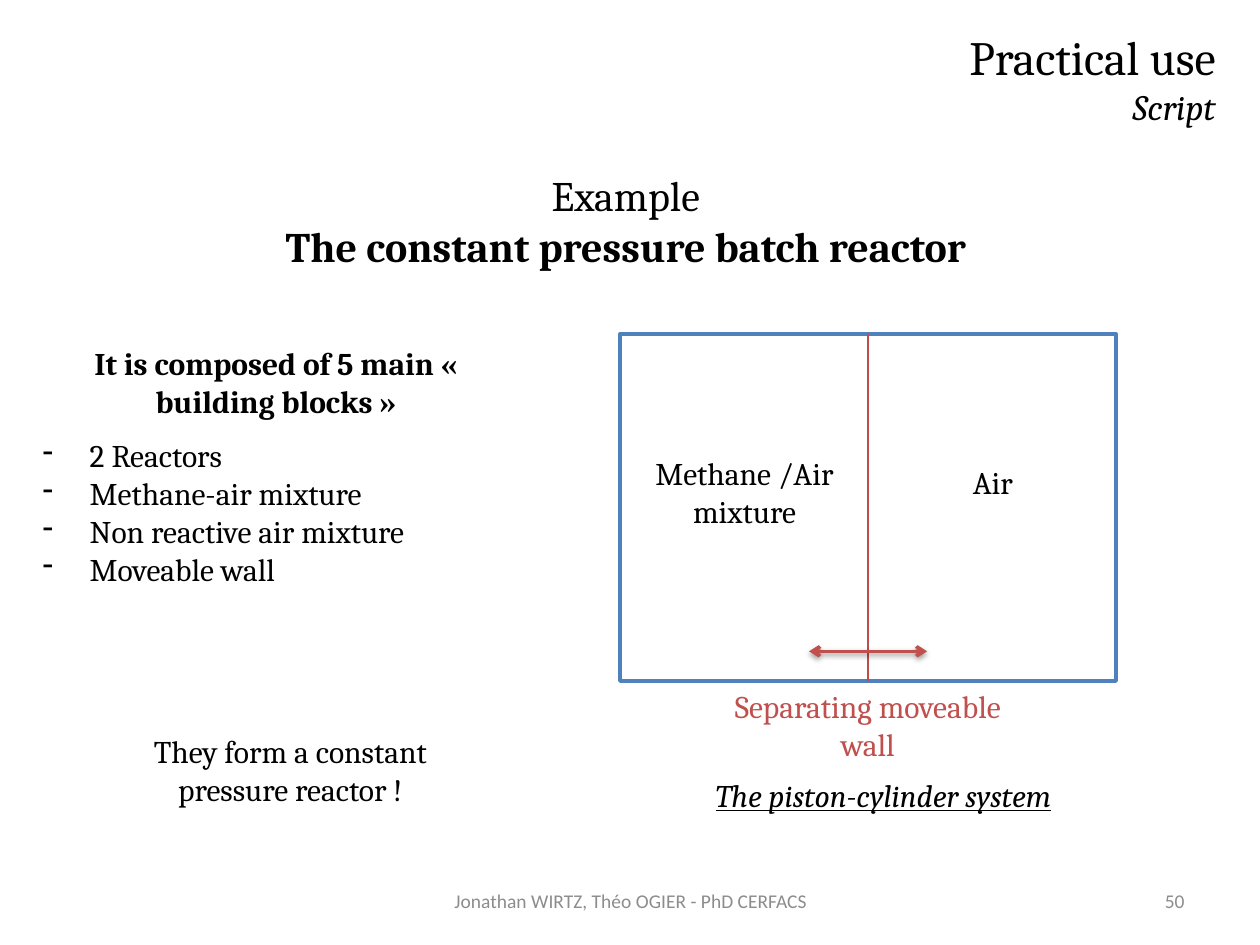
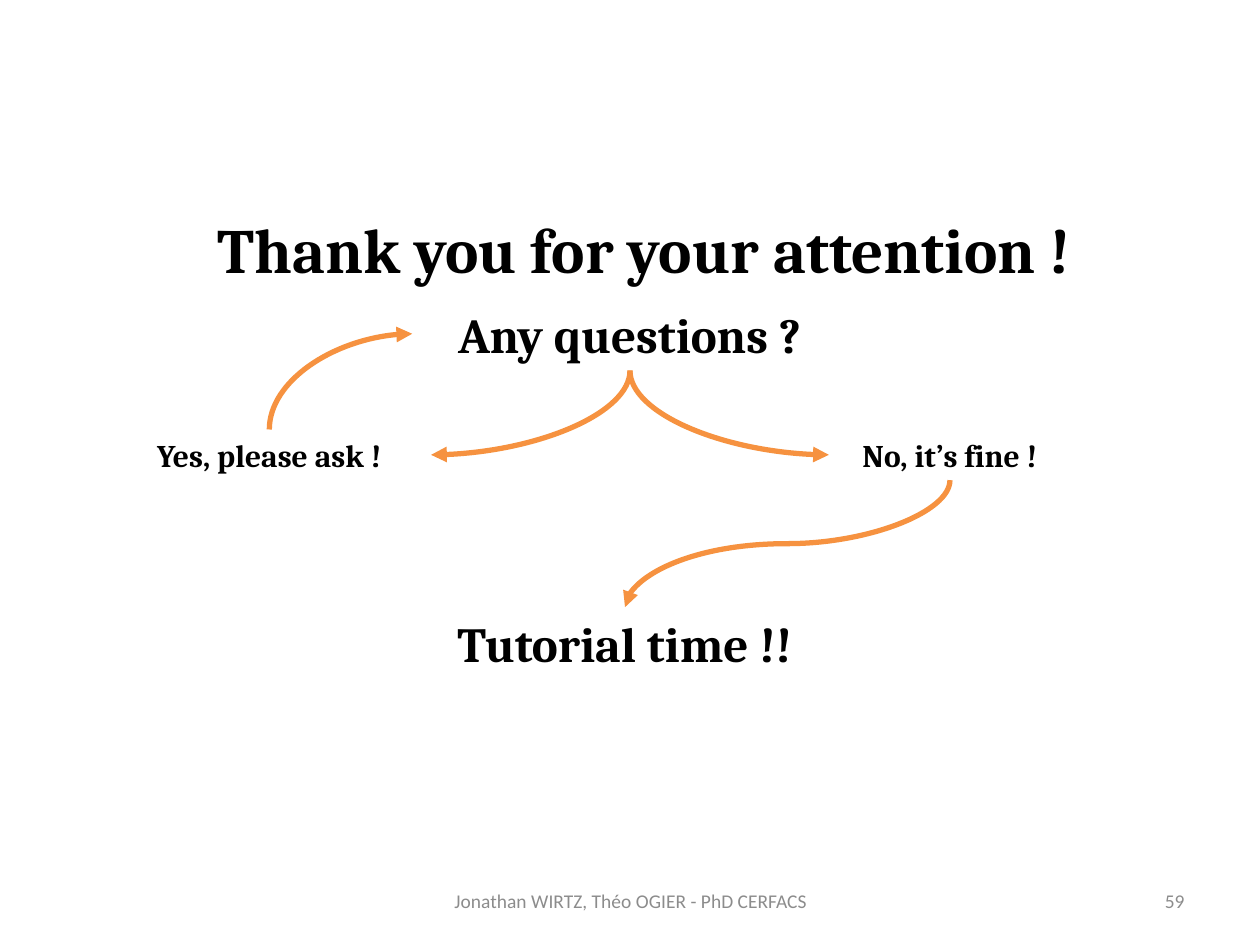
from lxml import etree
from pptx import Presentation
from pptx.dml.color import RGBColor
from pptx.enum.shapes import MSO_CONNECTOR, MSO_SHAPE
from pptx.enum.text import MSO_ANCHOR, MSO_AUTO_SIZE, PP_ALIGN
from pptx.oxml.ns import qn
from pptx.util import Cm, Pt

LEFT, MID, RIGHT = PP_ALIGN.LEFT, PP_ALIGN.CENTER, PP_ALIGN.RIGHT
TOP, CENTRE = MSO_ANCHOR.TOP, MSO_ANCHOR.MIDDLE
FIXED = MSO_AUTO_SIZE.NONE
LINE, CURVE = MSO_CONNECTOR.STRAIGHT, MSO_CONNECTOR.CURVE
RECT, OVAL = MSO_SHAPE.RECTANGLE, MSO_SHAPE.OVAL

HEX = {
    "black": "000000",
    "grey": "8C8C8C",
    "blue": "4F81BD",
    "red": "C0504D",
    "brick": "BF4C48",
    "orange": "F69240",
}
SERIF, SANS = "Cambria", "Calibri"
CREDIT = "Jonathan WIRTZ, Théo OGIER - PhD CERFACS"


def hue(name):
    return RGBColor.from_string(HEX[name])


def box(spot):
    return [Cm(v) for v in spot]


class Deck:
    def __init__(self):
        self.prs = Presentation()
        self.prs.slide_width = Cm(25.4)
        self.prs.slide_height = Cm(19.05)
        self.slide = None

    def page(self, number):
        self.slide = self.prs.slides.add_slide(self.prs.slide_layouts[5])
        foot = {"size": 11.1, "font": SANS, "color": "grey", "anchor": CENTRE}
        self.text((8.69, 17.65, 8.05, 1.02), [CREDIT], **foot)
        self.text((18.21, 17.65, 5.92, 1.02), [number], align=RIGHT, **foot)

    def run(self, para, words, size, font=SERIF, color="black",
            bold=False, italic=False, under=False):
        run = para.add_run()
        run.text = words
        face = run.font
        face.size, face.name = Pt(size), font
        face.bold, face.italic, face.underline = bold, italic, under
        face.color.rgb = hue(color)

    def fill(self, shape, lines, size=18, align=MID, anchor=TOP, **look):
        frame = shape.text_frame
        frame.word_wrap = True
        frame.auto_size = FIXED
        frame.vertical_anchor = anchor
        for i, line in enumerate(lines):
            words, extra = line if isinstance(line, tuple) else (line, {})
            para = frame.paragraphs[0] if i == 0 else frame.add_paragraph()
            style = {"size": size, **look, **extra}
            gap = style.pop("gap", 0)
            if style.pop("dash", False):
                self.dash(para)
                para.alignment = LEFT
            else:
                para.alignment = align
            if gap:
                para.space_before = Pt(gap)
            self.run(para, words, **style)

    def dash(self, para):
        props = para._p.get_or_add_pPr()
        props.set("marL", str(Cm(0.95)))
        props.set("indent", str(Cm(-0.95)))
        etree.SubElement(props, qn("a:buChar")).set("char", "-")

    def text(self, spot, lines, **look):
        self.fill(self.slide.shapes.add_textbox(*box(spot)), lines, **look)

    def title(self, spot, lines, **look):
        head = self.slide.shapes.title
        head.left, head.top, head.width, head.height = box(spot)
        self.fill(head, lines, **look)

    def shape(self, kind, spot, edge=None, lines=()):
        shape = self.slide.shapes.add_shape(kind, *box(spot))
        shape.shadow.inherit = False
        shape.fill.background()
        if edge:
            shape.line.color.rgb = hue(edge)
            shape.line.width = Pt(2)
        else:
            shape.line.fill.background()
        self.fill(shape, lines, anchor=CENTRE)
        return shape

    def link(self, kind, start, end, color, width, head=None, tail=None):
        link = self.slide.shapes.add_connector(kind, *box(start + end))
        link.line.color.rgb = hue(color)
        link.line.width = Pt(width)
        props = link._element.spPr
        edge = props.find(qn("a:ln"))
        for tag, tip in (("a:headEnd", head), ("a:tailEnd", tail)):
            if tip:
                etree.SubElement(edge, qn(tag)).set("type", tip)
        etree.SubElement(props, qn("a:effectLst"))
        return link

    def shade(self, link):
        effects = link._element.spPr.find(qn("a:effectLst"))
        cast = etree.SubElement(effects, qn("a:outerShdw"), blurRad="40000",
                                dist="20000", dir="5400000", rotWithShape="0")
        tint = etree.SubElement(cast, qn("a:srgbClr"), val=HEX["black"])
        etree.SubElement(tint, qn("a:alpha"), val="38000")

    def curve(self, start, end, bends=2):
        link = self.link(CURVE, start, end, "orange", 3, tail="triangle")
        (x1, y1), (x2, y2) = start, end
        wide, tall = abs(x2 - x1), abs(y2 - y1)
        link.width, link.height = Cm(tall), Cm(wide)
        link.left = Cm((x1 + x2 - tall) / 2)
        link.top = Cm((y1 + y2 - wide) / 2)
        right, down = x2 > x1, y2 > y1
        props = link._element.spPr
        frame = props.find(qn("a:xfrm"))
        frame.set("rot", str((270 if right and down else 90) * 60000))
        frame.set("flipH", str(int(right)))
        frame.set("flipV", str(int(right and not down)))
        props.find(qn("a:prstGeom")).set("prst", f"curvedConnector{bends}")


def piston(deck):
    deck.page("50")
    deck.title((1.9, 0.53, 22.86, 2.08),
               ["Practical use", ("Script", {"size": 20.4, "italic": True})],
               size=27.3, align=RIGHT, anchor=CENTRE)
    deck.text((4.27, 3.3, 16.69, 2.31),
              ["Example",
               ("The constant pressure batch reactor", {"bold": True})],
              size=24)
    deck.shape(OVAL, (18.11, 8.33, 3.81, 2.79), lines=["Air"])
    deck.shape(OVAL, (11.71, 8.53, 6.6, 2.79), lines=["Methane /Air mixture"])
    tank = deck.shape(RECT, (12.5, 6.73, 10, 7), edge="blue")
    wall = deck.link(LINE, (17.5, 6.73), (17.5, 13.73), "brick", 0.75)
    wall.begin_connect(tank, 0)
    wall.end_connect(tank, 2)
    deck.shade(deck.link(LINE, (16.31, 13.13), (18.69, 13.13), "red", 2,
                         head="arrow", tail="arrow"))
    deck.text((14.5, 13.92, 5.99, 1.4), ["Separating moveable wall"],
              color="red", anchor=CENTRE)
    deck.text((13.11, 15.32, 9.4, 1.4), ["The piston-cylinder system"],
              italic=True, under=True, anchor=CENTRE)
    parts = ["2 Reactors", "Methane-air mixture", "Non reactive air mixture",
             "Moveable wall"]
    deck.text((0.61, 6.81, 9.91, 5.21),
              [("It is composed of 5 main « building blocks »", {"bold": True})]
              + [(part, {"dash": True, "gap": 0 if i else 9.5})
                 for i, part in enumerate(parts)])
    deck.text((1.7, 14.63, 8.31, 1.8),
              ["They form a constant", "pressure reactor !"])


def thanks(deck):
    deck.page("59")
    deck.title((2.49, 4.11, 20.98, 1.8), ["Thank you for your attention !"],
               size=36, bold=True)
    for spot, words, size in (
        ((8.31, 6.02, 8.76, 1.45), "Any questions ?", 28),
        ((2.18, 8.66, 6.5, 1.02), "Yes, please ask !", 18),
        ((15.9, 8.66, 6.5, 1.02), "No, it’s fine !", 18),
        ((8.1, 12.24, 8.99, 1.45), "Tutorial time !!", 28),
    ):
        deck.text(spot, [words], size=size, bold=True)
    ask = (12.7, 7.47)
    deck.curve(ask, (8.69, 9.17))
    deck.curve((5.43, 8.66), (8.31, 6.73))
    deck.curve(ask, (16.71, 9.17))
    deck.curve((19.15, 9.68), (12.6, 12.24), bends=3)


def main():
    deck = Deck()
    piston(deck)
    thanks(deck)
    deck.prs.save("out.pptx")


if __name__ == "__main__":
    main()
